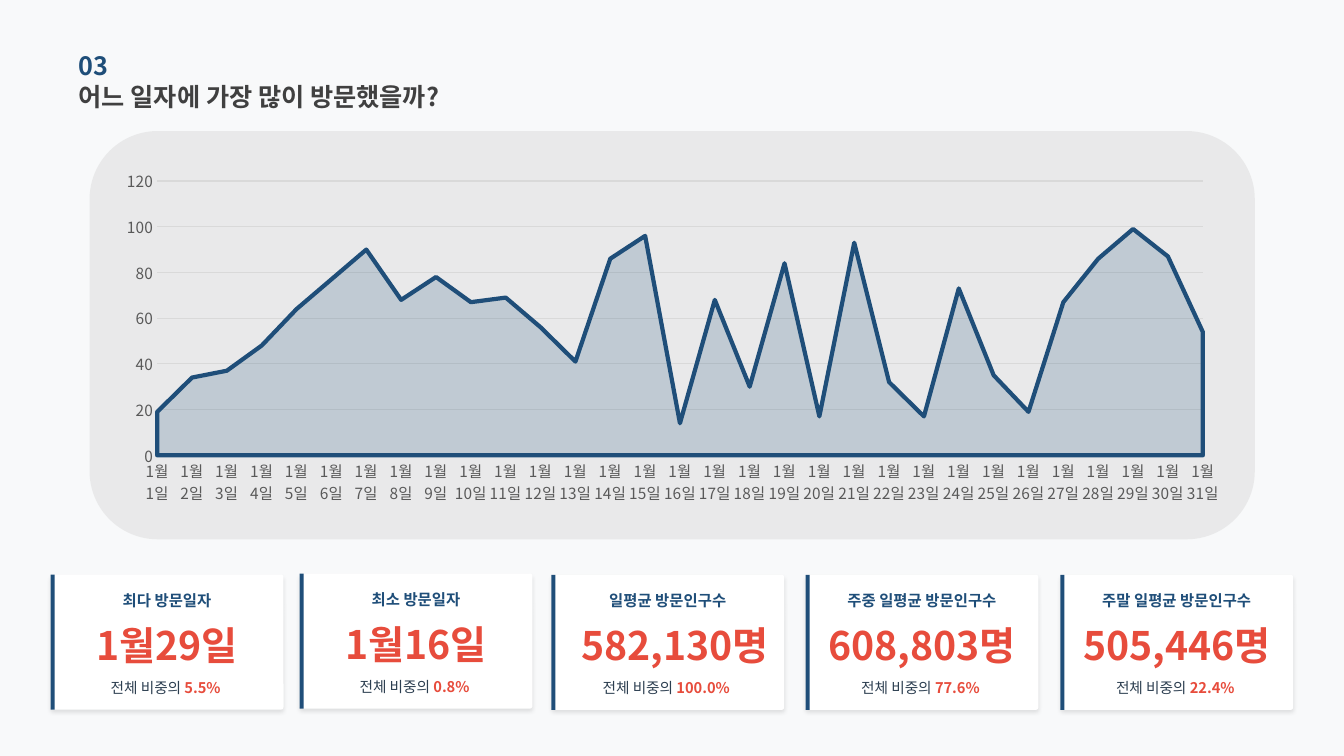
from lxml.etree import SubElement
from pptx import Presentation
from pptx.chart.data import CategoryChartData
from pptx.dml.color import RGBColor
from pptx.enum.chart import XL_CHART_TYPE, XL_TICK_MARK
from pptx.enum.shapes import MSO_SHAPE
from pptx.enum.text import MSO_ANCHOR, PP_ALIGN
from pptx.oxml import parse_xml
from pptx.oxml.ns import nsdecls, qn
from pptx.util import Pt

FONT = "Noto Sans CJK KR"
NAVY, RED, GRAY, WHITE = "1F4E79", "E74C3C", "595959", "FFFFFF"
rgb = RGBColor.from_string


def add_box(kind, left, top, width, height, color, alpha=None):
    """Add a filled shape without outline or shadow; alpha is opacity in percent."""
    box = slide.shapes.add_shape(kind, Pt(left), Pt(top), Pt(width), Pt(height))
    box.shadow.inherit = False
    box.line.fill.background()
    box.fill.solid()
    box.fill.fore_color.rgb = rgb(color)
    if alpha:
        srgb = box._element.spPr.find(".//" + qn("a:srgbClr"))
        SubElement(srgb, qn("a:alpha"), val=str(alpha * 1000))
    return box


def add_text(left, top, width, height, runs, align=PP_ALIGN.CENTER):
    """Add one line of text; each run is (text, size, color, bold)."""
    frame = slide.shapes.add_textbox(Pt(left), Pt(top), Pt(width), Pt(height)).text_frame
    frame.margin_left = frame.margin_right = frame.margin_top = frame.margin_bottom = 0
    frame.word_wrap = True
    frame.vertical_anchor = MSO_ANCHOR.MIDDLE
    frame.paragraphs[0].alignment = align
    for text, size, color, bold in runs:
        run = frame.paragraphs[0].add_run()
        run.text = text
        run.font.size = Pt(size)
        run.font.bold = bold
        run.font.color.rgb = rgb(color)
        run.font.name = FONT
        SubElement(run._r.rPr, qn("a:ea"), typeface=FONT)


prs = Presentation()
prs.slide_width, prs.slide_height = Pt(960), Pt(540)
slide = prs.slides.add_slide(prs.slide_layouts[6])
slide.background.fill.solid()
slide.background.fill.fore_color.rgb = rgb("F8F9FA")

# Heading and chart panel
add_box(MSO_SHAPE.ROUNDED_RECTANGLE, 64, 93.6, 832.3, 291.6, "D0CECE", 36)
add_text(56.2, 54, 325.4, 29.5, [("어느 일자에 가장 많이 방문했을까?", 18, "404040", True)], PP_ALIGN.LEFT)
add_text(56.2, 31.7, 325.4, 29.5, [("03", 18, NAVY, True)], PP_ALIGN.LEFT)

# Summary cards
CARD_WIDTH, CARD_HEIGHT = 166.3, 96.5
cards = [
    (36.2, 410.4, "최다 방문일자", "1월29일", 0, "5.5%"),
    (214, 409.7, "최소 방문일자", "1월16일", 0, "0.8%"),
    (393.8, 410.6, "일평균 방문인구수", "582,130명", 5.4, "100.0%"),
    (575.4, 410.6, "주중 일평균 방문인구수", "608,803명", 0, "77.6%"),
    (757.4, 410.6, "주말 일평균 방문인구수", "505,446명", 0, "22.4%"),
]
for left, top, title, value, value_shift, share in cards:
    card = add_box(MSO_SHAPE.ROUNDED_RECTANGLE, left, top, CARD_WIDTH, CARD_HEIGHT, WHITE)
    card.adjustments[0] = 0.018
    shadow = SubElement(card._element.spPr.find(qn("a:effectLst")), qn("a:outerShdw"),
                        blurRad=str(Pt(3)), dist=str(Pt(2)), dir="5400000",
                        algn="t", rotWithShape="0")
    shadow_color = SubElement(shadow, qn("a:srgbClr"), val="000000")
    SubElement(shadow_color, qn("a:alpha"), val="10000")
    add_text(left + 7.2, top + 10.4, 152, 15.8, [(title, 11, NAVY, True)])
    add_text(left + value_shift, top + 36.3, CARD_WIDTH, 27.4, [(value, 28, RED, True)])
    add_text(left + 34.6, top + 73.3, 95, 15.1,
             [("전체 비중의 ", 10.5, "2C3E50", False), (share, 10.5, RED, True)])
    add_box(MSO_SHAPE.RECTANGLE, left, top, 2.9, CARD_HEIGHT, NAVY)

# Daily visits chart
visits = [19, 34, 37, 48, 64, 77, 90, 68, 78, 67, 69, 56, 41, 86, 96, 14,
          68, 30, 84, 17, 93, 32, 17, 73, 35, 19, 67, 86, 99, 87, 54]
data = CategoryChartData()
data.categories = [f"1월 {day}일" for day in range(1, len(visits) + 1)]
data.add_series("Series 1", visits)
chart = slide.shapes.add_chart(XL_CHART_TYPE.AREA, Pt(77.8), Pt(92.9), Pt(801.4), Pt(293.8), data).chart
chart.has_legend = False
chart.has_title = False
chart.font.size = Pt(10)
chart.font.name = FONT
chart.font.color.rgb = rgb("000000")
chart.plots[0].vary_by_categories = False

area = chart.plots[0].series[0].format
area.fill.solid()
area.fill.fore_color.rgb = rgb(NAVY)
area_color = chart.plots[0].series[0]._element.spPr.find(".//" + qn("a:srgbClr"))
SubElement(area_color, qn("a:alpha"), val="20000")
area.line.color.rgb = rgb(NAVY)
area.line.width = Pt(3)

days, counts = chart.category_axis, chart.value_axis
for axis in (days, counts):
    axis.major_tick_mark = axis.minor_tick_mark = XL_TICK_MARK.NONE
    font = axis.tick_labels.font
    font.size = Pt(11)
    font.name = FONT
    font.color.rgb = rgb(GRAY)
    label_body = axis._element.find(qn("c:txPr"))
    label_body.find(qn("a:bodyPr")).set("rot", "-60000000")
    SubElement(label_body.find(".//" + qn("a:defRPr")), qn("a:ea"), typeface=FONT)
counts.minimum_scale, counts.maximum_scale, counts.major_unit = 0, 120, 20
counts.has_major_gridlines = True
counts.format.line.fill.background()
days.has_major_gridlines = False
for line in (days.format.line, counts.major_gridlines.format.line):
    line.color.rgb = rgb("D9D9D9")
    line.width = Pt(0.75)
counts._element.find(qn("c:crossBetween")).set("val", "midCat")

plot_area = chart._chartSpace.chart.plotArea
for old_layout in plot_area.findall(qn("c:layout")):
    plot_area.remove(old_layout)
plot_area.insert(0, parse_xml(
    f'<c:layout {nsdecls("c")}><c:manualLayout><c:layoutTarget val="inner"/>'
    '<c:xMode val="edge"/><c:yMode val="edge"/><c:x val="0.043"/><c:y val="0.124"/>'
    '<c:w val="0.932"/><c:h val="0.667"/></c:manualLayout></c:layout>'))

prs.save("out.pptx")
